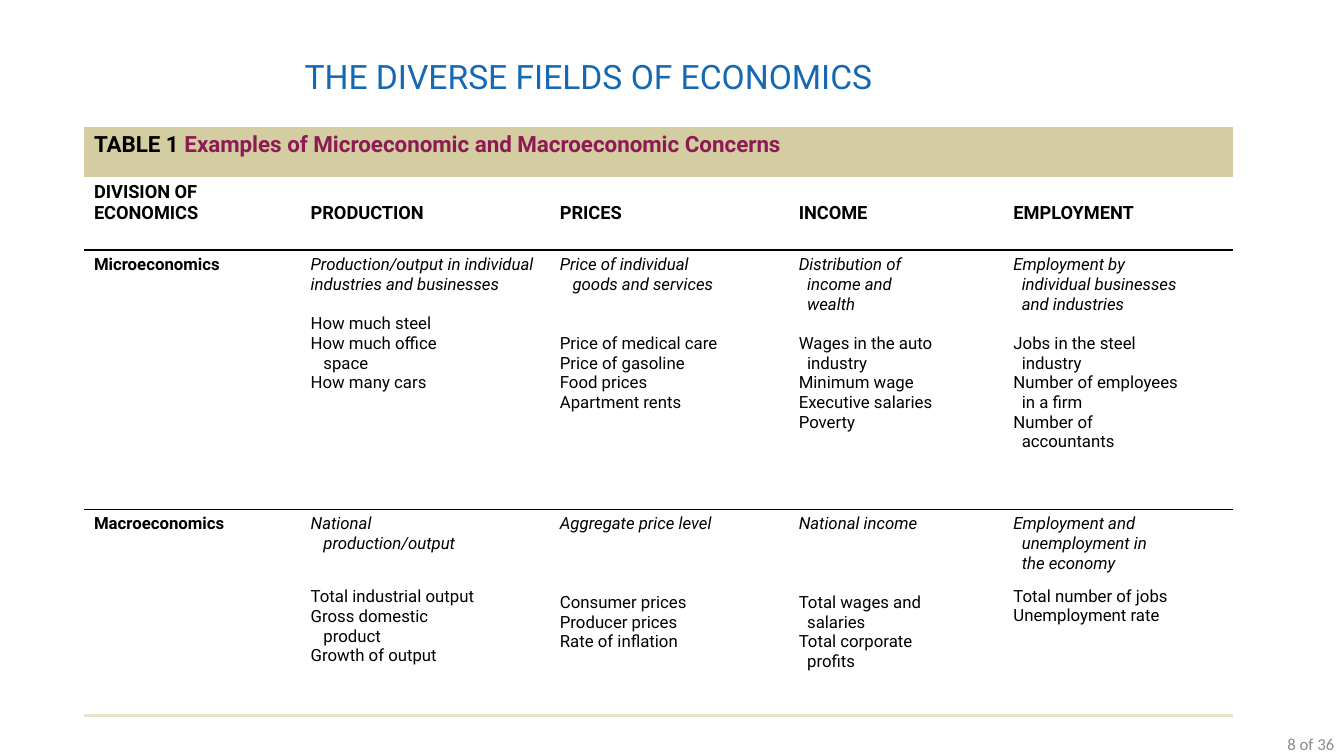
from lxml import etree
from pptx import Presentation
from pptx.dml.color import RGBColor
from pptx.enum import text
from pptx.oxml import ns
from pptx.util import Cm, Pt

TITLE = "THE DIVERSE FIELDS OF ECONOMICS"
PAGE_NUMBER = "8 of 36"
CAPTION = ("TABLE 1 ", "Examples of Microeconomic and Macroeconomic Concerns")
HEADINGS = ["DIVISION OF\vECONOMICS", "PRODUCTION", "PRICES", "INCOME", "EMPLOYMENT"]
DIVISIONS = [
    ("Microeconomics", [
        ("Production/output in individual industries and businesses", 14,
         ["How much steel", "How much office\vspace", "How many cars"]),
        ("Price of individual\vgoods and services", 28,
         ["Price of medical care", "Price of gasoline", "Food prices", "Apartment rents"]),
        ("Distribution of\vincome and\vwealth", 14,
         ["Wages in the auto\vindustry", "Minimum wage", "Executive salaries", "Poverty"]),
        ("Employment by\vindividual businesses\vand industries", 14,
         ["Jobs in the steel\vindustry", "Number of employees\vin a firm",
          "Number of\vaccountants"]),
    ]),
    ("Macroeconomics", [
        ("National\vproduction/output", 24,
         ["Total industrial output", "Gross domestic\vproduct", "Growth of output"]),
        ("Aggregate price level", 42,
         ["Consumer prices", "Producer prices", "Rate of inflation"]),
        ("National income", 42,
         ["Total wages and\vsalaries", "Total corporate\vprofits"]),
        ("Employment and\vunemployment in\vthe economy", 9.5,
         ["Total number of jobs", "Unemployment rate"]),
    ]),
]
COLUMN_WIDTHS = [5.46, 6.28, 6.02, 5.41, 5.79]
ROW_HEIGHTS = [1.27, 1.83, 6.53, 5.2]
HANGING = [0.32, 0.32, 0.21, 0.21]

BLACK = RGBColor(0x00, 0x00, 0x00)
BLUE = RGBColor(0x14, 0x69, 0xB2)
PLUM = RGBColor(0x8C, 0x1B, 0x54)
GREY = RGBColor(0x8C, 0x8C, 0x8C)
SAND = RGBColor(0xD3, 0xCD, 0xA1)
PALE_SAND = RGBColor(0xE7, 0xE4, 0xCB)
NO_STYLE = "{2D5ABB26-0587-4C30-8999-92F81FD0307C}"


def set_all(target, values):
    for name, value in values.items():
        setattr(target, name, value)


def write(para, words, size, color=BLACK, name="Roboto", **style):
    for piece in words.split("\v"):
        if piece != words.split("\v")[0]:
            para.add_line_break()
        span = para.add_run()
        span.text = piece
        set_all(span.font, {"size": Pt(size), "name": name, **style})
        span.font.color.rgb = color


def hang(para, length):
    properties = para._p.get_or_add_pPr()
    properties.set("marL", str(Cm(length)))
    properties.set("indent", str(-Cm(length)))


def rule(cell, side, color, width):
    properties = cell._tc.get_or_add_tcPr()
    line = etree.Element(ns.qn("a:" + side), w=str(Pt(width)))
    fill = etree.SubElement(line, ns.qn("a:solidFill"))
    etree.SubElement(fill, ns.qn("a:srgbClr"), val=str(color))
    properties.insert(0, line)


deck = Presentation()
set_all(deck, {"slide_width": Cm(33.87), "slide_height": Cm(19.05)})
page = deck.slides.add_slide(deck.slide_layouts[5])

title = page.shapes.title
set_all(title, {"left": Cm(7.42), "top": Cm(1.28), "width": Cm(19.69), "height": Cm(1.27)})
set_all(title.text_frame, {"auto_size": text.MSO_AUTO_SIZE.NONE, "word_wrap": True,
                           "vertical_anchor": text.MSO_ANCHOR.MIDDLE})
heading = title.text_frame.paragraphs[0]
heading.alignment = text.PP_ALIGN.LEFT
write(heading, TITLE, 24, BLUE)

table = page.shapes.add_table(4, 5, Cm(2.12), Cm(3.2), Cm(sum(COLUMN_WIDTHS)),
                              Cm(sum(ROW_HEIGHTS))).table
set_all(table, {"first_row": False, "horz_banding": False})
table._tbl.tblPr.find(ns.qn("a:tableStyleId")).text = NO_STYLE
for column, width in zip(table.columns, COLUMN_WIDTHS):
    column.width = Cm(width)
for row, height in zip(table.rows, ROW_HEIGHTS):
    row.height = Cm(height)
for cell in table.iter_cells():
    set_all(cell, {"margin_left": Cm(0.25), "margin_right": Cm(0),
                   "margin_top": Cm(0.13), "margin_bottom": Cm(0.13)})
    cell.fill.background()

caption = table.cell(0, 0)
caption.merge(table.cell(0, 4))
caption.fill.solid()
caption.fill.fore_color.rgb = SAND
for words, color in zip(CAPTION, (BLACK, PLUM)):
    write(caption.text_frame.paragraphs[0], words, 16, color, bold=True)

for column, words in enumerate(HEADINGS):
    cell = table.cell(1, column)
    set_all(cell, {"vertical_anchor": text.MSO_ANCHOR.BOTTOM,
                   "margin_top": Cm(0), "margin_bottom": Cm(0.66)})
    write(cell.text_frame.paragraphs[0], words, 13, bold=True)
    rule(cell, "lnB", BLACK, 1)
    rule(table.cell(2, column), "lnT", BLACK, 1)
    rule(table.cell(3, column), "lnB", PALE_SAND, 3)

for row, (division, fields) in enumerate(DIVISIONS, 2):
    write(table.cell(row, 0).text_frame.paragraphs[0], division, 12, bold=True)
    for column, (topic, gap, examples) in enumerate(fields, 1):
        frame = table.cell(row, column).text_frame
        para = frame.paragraphs[0]
        write(para, topic, 12, italic=True)
        if "\v" in topic:
            hang(para, HANGING[column - 1])
        for index, example in enumerate(examples):
            para = frame.add_paragraph()
            para.space_before = Pt(0 if index else gap)
            hang(para, HANGING[column - 1])
            write(para, example, 12)

box = page.shapes.add_textbox(Cm(31.06), Cm(18.42), Cm(2.82), Cm(0.63))
set_all(box.text_frame, {"word_wrap": True, "vertical_anchor": text.MSO_ANCHOR.MIDDLE,
                         "margin_top": 0, "margin_bottom": 0})
number = box.text_frame.paragraphs[0]
number.alignment = text.PP_ALIGN.RIGHT
write(number, PAGE_NUMBER, 12, GREY, "Calibri")

deck.save("out.pptx")
